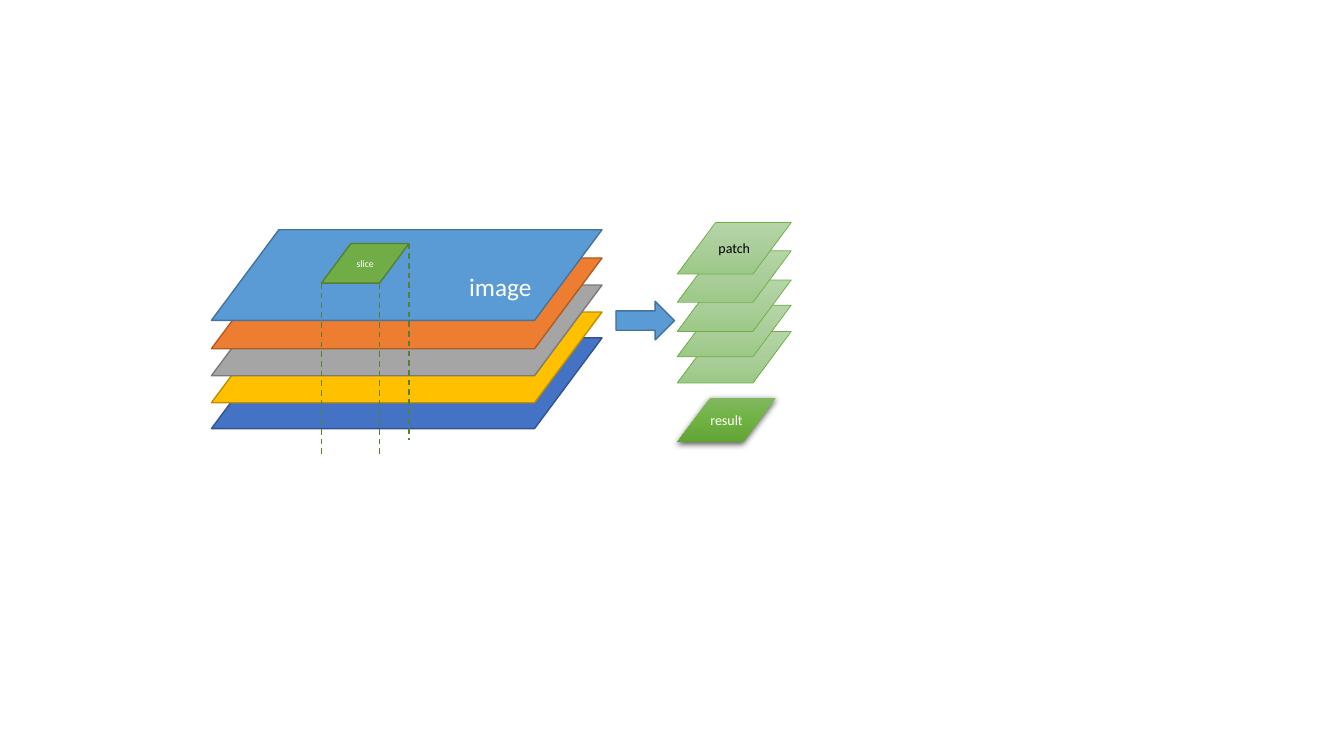
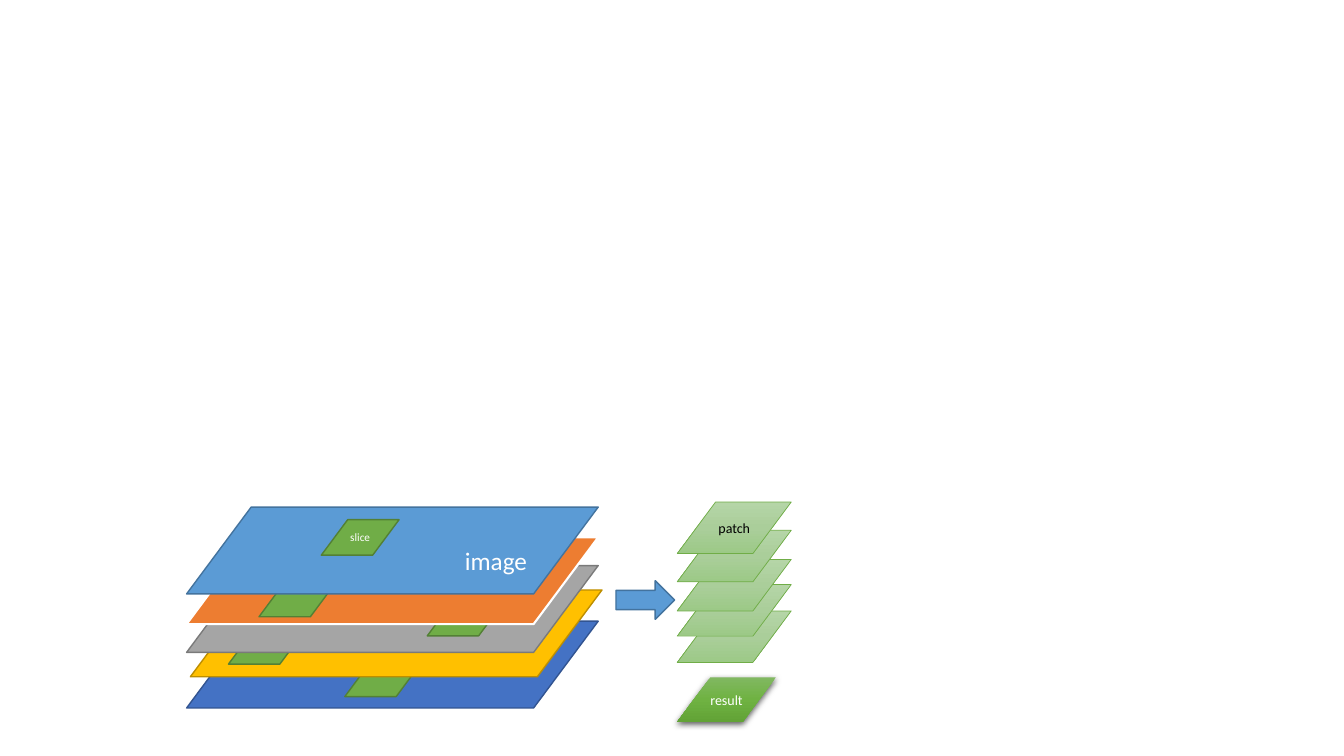
from copy import deepcopy
from dataclasses import dataclass
from typing import Optional

from lxml.etree import SubElement
from pptx import Presentation
from pptx.dml.color import RGBColor
from pptx.enum.dml import MSO_LINE
from pptx.enum.shapes import MSO_CONNECTOR, MSO_SHAPE
from pptx.enum.text import MSO_ANCHOR, PP_ALIGN
from pptx.oxml.ns import qn
from pptx.util import Pt

FONT = "Calibri"
SLANT = 0.744
WHITE = RGBColor(0xFF, 0xFF, 0xFF)
BLACK = RGBColor(0x00, 0x00, 0x00)
BLUE = RGBColor(0x5B, 0x9B, 0xD5)
BLUE_EDGE = RGBColor(0x43, 0x73, 0x9E)
ORANGE = RGBColor(0xED, 0x7D, 0x31)
ORANGE_EDGE = RGBColor(0xAF, 0x5C, 0x24)
GRAY = RGBColor(0xA5, 0xA5, 0xA5)
GRAY_EDGE = RGBColor(0x7A, 0x7A, 0x7A)
GOLD = RGBColor(0xFF, 0xC0, 0x00)
GOLD_EDGE = RGBColor(0xBD, 0x8E, 0x00)
NAVY = RGBColor(0x44, 0x72, 0xC4)
NAVY_EDGE = RGBColor(0x32, 0x54, 0x91)
GREEN = RGBColor(0x70, 0xAD, 0x47)
GREEN_EDGE = RGBColor(0x53, 0x80, 0x35)
GUIDE = RGBColor(0x54, 0x82, 0x35)
PATCH_STOPS = (RGBColor(0xB5, 0xD5, 0xA7), RGBColor(0xAA, 0xCE, 0x9A), RGBColor(0x9C, 0xC9, 0x87))
RESULT_STOPS = (RGBColor(0x81, 0xB8, 0x61), RGBColor(0x6F, 0xB2, 0x42), RGBColor(0x62, 0xA3, 0x36))

OUTPUT_LEFT = 483.8
PATCH_OFFSETS = (77.8, 59, 41, 20.2, 0)


@dataclass(frozen=True)
class Box:
    left: float
    top: float
    width: float
    height: float


@dataclass(frozen=True)
class Style:
    fill: tuple[RGBColor, ...]
    edge: Optional[RGBColor] = None
    weight: float = 1


@dataclass(frozen=True)
class Label:
    text: str
    size: float
    color: RGBColor = WHITE
    align: PP_ALIGN = PP_ALIGN.CENTER
    anchor: MSO_ANCHOR = MSO_ANCHOR.MIDDLE


@dataclass(frozen=True)
class Layer:
    sheet: Box
    style: Style
    slice_box: Optional[Box] = None
    sheet_label: Optional[Label] = None
    slice_label: Optional[Label] = None


BLUE_STYLE = Style((BLUE,), BLUE_EDGE)
ORANGE_STYLE = Style((ORANGE,), ORANGE_EDGE)
OUTLINED_ORANGE = Style((ORANGE,), WHITE, 1.5)
GRAY_STYLE = Style((GRAY,), GRAY_EDGE)
GOLD_STYLE = Style((GOLD,), GOLD_EDGE)
NAVY_STYLE = Style((NAVY,), NAVY_EDGE)
SLICE_STYLE = Style((GREEN,), GREEN_EDGE)
PATCH_STYLE = Style(PATCH_STOPS, GREEN, 0.5)
RESULT_STYLE = Style(RESULT_STOPS)
IMAGE_LABEL = Label("image", 18, align=PP_ALIGN.RIGHT, anchor=MSO_ANCHOR.BOTTOM)


def sheet1(top: float) -> Box:
    return Box(151, top, 279, 64.8)


def sheet2(left: float, top: float) -> Box:
    return Box(left, top, 294, 62)


def slice2(left: float, top: float) -> Box:
    return Box(left, top, 55.6, 25.4)


TOP_SLICE = Box(229.6, 174, 62.6, 28.3)

ALIGNED_LAYERS = (
    Layer(sheet1(241.4), NAVY_STYLE),
    Layer(sheet1(222.9), GOLD_STYLE),
    Layer(sheet1(203.6), GRAY_STYLE),
    Layer(sheet1(184.3), ORANGE_STYLE),
    Layer(sheet1(164.1), BLUE_STYLE, TOP_SLICE, IMAGE_LABEL, Label("slice", 7)),
)

SCATTERED_LAYERS = (
    Layer(sheet2(133.3, 443.7), NAVY_STYLE, slice2(246.3, 472.2)),
    Layer(sheet2(136, 421.4), GOLD_STYLE, slice2(163.2, 449)),
    Layer(sheet2(133.3, 404), GRAY_STYLE, slice2(305.2, 428.8)),
    Layer(sheet2(133.3, 383.8), OUTLINED_ORANGE, slice2(185, 415.2)),
    Layer(sheet2(133.3, 362.2), BLUE_STYLE, slice2(229.5, 371.2), IMAGE_LABEL, Label("slice", 8)),
)


def set_fill(sp, colors: tuple[RGBColor, ...]) -> None:
    if len(colors) == 1:
        sp.fill.solid()
        sp.fill.fore_color.rgb = colors[0]
        return
    sp.fill.gradient()
    sp.fill.gradient_angle = 270
    stops = sp.element.spPr.find(".//" + qn("a:gsLst"))
    stops.insert(1, deepcopy(stops[0]))
    for i, (stop, color) in enumerate(zip(sp.fill.gradient_stops, colors)):
        stop.color.rgb = color
        stop.position = i / (len(colors) - 1)


def set_label(sp, label: Label) -> None:
    tf = sp.text_frame
    tf.text = label.text
    tf.word_wrap = True
    tf.vertical_anchor = label.anchor
    p = tf.paragraphs[0]
    p.alignment = label.align
    r = p.runs[0]
    r.font.name = FONT
    r.font.size = Pt(label.size)
    r.font.color.rgb = label.color


def add_block(s, kind: MSO_SHAPE, box: Box, style: Style, label: Optional[Label] = None):
    sp = s.shapes.add_shape(kind, Pt(box.left), Pt(box.top), Pt(box.width), Pt(box.height))
    sp.shadow.inherit = False
    set_fill(sp, style.fill)
    if style.edge is None:
        sp.line.fill.background()
    else:
        sp.line.color.rgb = style.edge
        sp.line.width = Pt(style.weight)
    if label:
        set_label(sp, label)
    return sp


def add_sheet(s, box: Box, style: Style, label: Optional[Label] = None):
    sp = add_block(s, MSO_SHAPE.PARALLELOGRAM, box, style, label)
    sp.adjustments[0] = SLANT
    return sp


def add_drop_shadow(sp) -> None:
    effects = sp.element.spPr.find(qn("a:effectLst"))
    shadow = SubElement(effects, qn("a:outerShdw"), blurRad=str(Pt(4.5)), dist=str(Pt(1.5)),
                        dir="5400000", algn="ctr", rotWithShape="0")
    color = SubElement(shadow, qn("a:srgbClr"), val=str(BLACK))
    SubElement(color, qn("a:alpha"), val="63000")


def add_guide(s, x: float, top: float, bottom: float) -> None:
    line = s.shapes.add_connector(MSO_CONNECTOR.STRAIGHT, Pt(x), Pt(top), Pt(x), Pt(bottom))
    line.line.color.rgb = GUIDE
    line.line.width = Pt(1)
    line.line.dash_style = MSO_LINE.DASH
    SubElement(line.element.spPr, qn("a:effectLst"))


def add_slice_guides(s, box: Box) -> None:
    right, bottom = box.left + box.width, box.top + box.height
    add_guide(s, box.left, bottom, 324)
    add_guide(s, right - SLANT * box.height, bottom, 324)
    add_guide(s, right, box.top, 314)


def add_layers(s, layers: tuple[Layer, ...]) -> None:
    for layer in layers:
        add_sheet(s, layer.sheet, layer.style, layer.sheet_label)
        if layer.slice_box:
            add_sheet(s, layer.slice_box, SLICE_STYLE, layer.slice_label)


def add_output(s, top: float) -> None:
    for offset in PATCH_OFFSETS:
        label = Label("patch", 10, BLACK) if offset == 0 else None
        add_sheet(s, Box(OUTPUT_LEFT, top + offset, 81.4, 36.8), PATCH_STYLE, label)
    result = add_sheet(s, Box(OUTPUT_LEFT, top + 125.2, 70.4, 31.8), RESULT_STYLE, Label("result", 10))
    add_drop_shadow(result)
    add_block(s, MSO_SHAPE.RIGHT_ARROW, Box(440, top + 56.2, 41.8, 27.6), BLUE_STYLE)


def main() -> None:
    prs = Presentation()
    prs.slide_width, prs.slide_height = Pt(960), Pt(540)
    blank = prs.slide_layouts[6]

    s = prs.slides.add_slide(blank)
    add_layers(s, ALIGNED_LAYERS)
    add_slice_guides(s, TOP_SLICE)
    add_output(s, 159)

    s = prs.slides.add_slide(blank)
    add_layers(s, SCATTERED_LAYERS)
    add_output(s, 358.6)

    prs.save("out.pptx")


if __name__ == "__main__":
    main()
